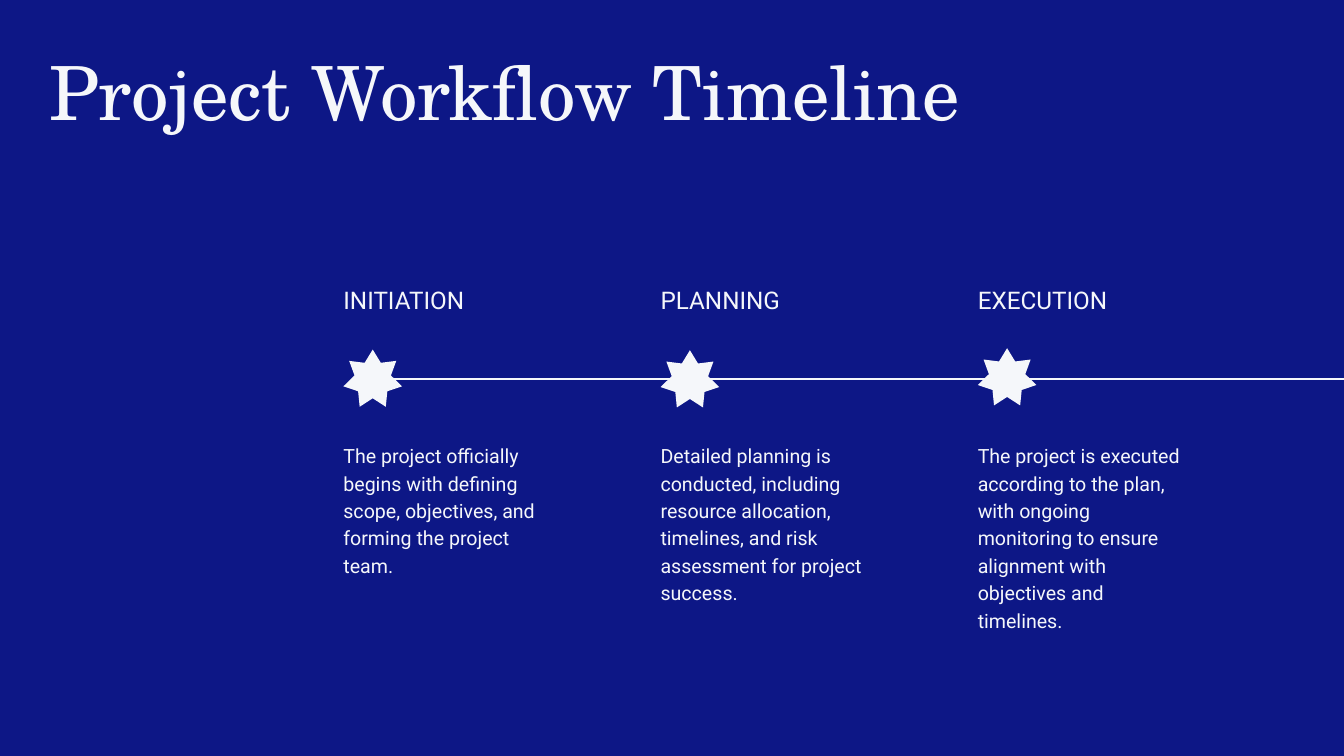
"""Build a project workflow timeline slide."""
import math

import pptx
import pptx.dml.color
import pptx.enum.shapes
import pptx.enum.text
import pptx.oxml.ns
import pptx.util
from lxml import etree

COLORS = {"background": "0D1786", "ink": "F5F7FA"}
FONTS = {"title": "TeX Gyre Schola", "body": "Roboto"}
STAGES = [
    ("INITIATION", "The project officially begins with defining scope, objectives, "
     "and forming the project team.", 5, 50.22),
    ("PLANNING", "Detailed planning is conducted, including resource allocation, "
     "timelines, and risk assessment for project success.", 6, 50.31),
    ("EXECUTION", "The project is executed according to the plan, with ongoing "
     "monitoring to ensure alignment with objectives and timelines.", 7, 50.04),
]
FIRST_LEFT, STAGE_STEP, STAGE_WIDTH = 25.55, 23.6, 15.75


def rgb(name):
    return pptx.dml.color.RGBColor.from_string(COLORS[name])


def set_text(tf, text, font="body", size=21, leading=29.4, color="ink"):
    tf.margin_left = tf.margin_right = tf.margin_top = tf.margin_bottom = 0
    tf.word_wrap = True
    tf.auto_size = pptx.enum.text.MSO_AUTO_SIZE.SHAPE_TO_FIT_TEXT
    tf.vertical_anchor = pptx.enum.text.MSO_ANCHOR.TOP
    p = tf.paragraphs[0]
    p.alignment = pptx.enum.text.PP_ALIGN.LEFT
    p.line_spacing = pptx.util.Pt(leading)
    r = p.add_run()
    r.text = text
    r.font.name = FONTS[font]
    r.font.size = pptx.util.Pt(size)
    r.font.color.rgb = rgb(color)


class TimelineSlide:
    """Draws on one slide, with positions in percent of its width and height."""

    def __init__(self, prs):
        self.width, self.height = prs.slide_width, prs.slide_height
        self.slide = prs.slides.add_slide(prs.slide_layouts[5])
        fill = self.slide.background.fill
        fill.solid()
        fill.fore_color.rgb = rgb("background")

    def x(self, share):
        return round(self.width * share / 100)

    def y(self, share):
        return round(self.height * share / 100)

    def title(self, text, left, top, width, height):
        sp = self.slide.shapes.title
        sp.left, sp.top = self.x(left), self.y(top)
        sp.width, sp.height = self.x(width), self.y(height)
        set_text(sp.text_frame, text, font="title", size=80, leading=88)

    def text(self, text, left, top, width, height, **style):
        sp = self.slide.shapes.add_textbox(
            self.x(left), self.y(top), self.x(width), self.y(height))
        set_text(sp.text_frame, text, **style)

    def line(self, start, end, level):
        sp = self.slide.shapes.add_connector(
            pptx.enum.shapes.MSO_CONNECTOR.STRAIGHT,
            self.x(start), self.y(level), self.x(end), self.y(level))
        sp.line.color.rgb = rgb("ink")
        sp.line.width = pptx.util.Pt(1.5)
        etree.SubElement(sp._element.spPr, pptx.oxml.ns.qn("a:effectLst"))

    def star(self, left, middle, points=7, outer=2.24, inner=1.39):
        center = left + outer * math.sin(3 * math.pi / points)
        corners = []
        for i in range(2 * points):
            radius = self.x(inner if i % 2 else outer)
            angle = i * math.pi / points
            corners.append((round(self.x(center) + radius * math.sin(angle)),
                            round(self.y(middle) - radius * math.cos(angle))))
        builder = self.slide.shapes.build_freeform(*corners[0])
        builder.add_line_segments(corners[1:], close=True)
        sp = builder.convert_to_shape()
        sp.shadow.inherit = False
        sp.fill.solid()
        sp.fill.fore_color.rgb = rgb("ink")
        sp.line.fill.background()


def main():
    prs = pptx.Presentation()
    prs.slide_width = pptx.util.Inches(20)
    prs.slide_height = pptx.util.Inches(11.25)
    s = TimelineSlide(prs)
    s.line(27.35, 108.85, 50.13)
    s.title("Project Workflow Timeline", 3.65, 7.11, 86.5, 11.2)
    for i, (name, description, lines, middle) in enumerate(STAGES):
        left = FIRST_LEFT + i * STAGE_STEP
        s.text(name, left, 37.07, STAGE_WIDTH, 4.27, size=26, leading=36.4)
        s.text(description, left, 58.22, STAGE_WIDTH, 3.6 * lines)
        s.star(left, middle)
    prs.save("out.pptx")


if __name__ == "__main__":
    main()
